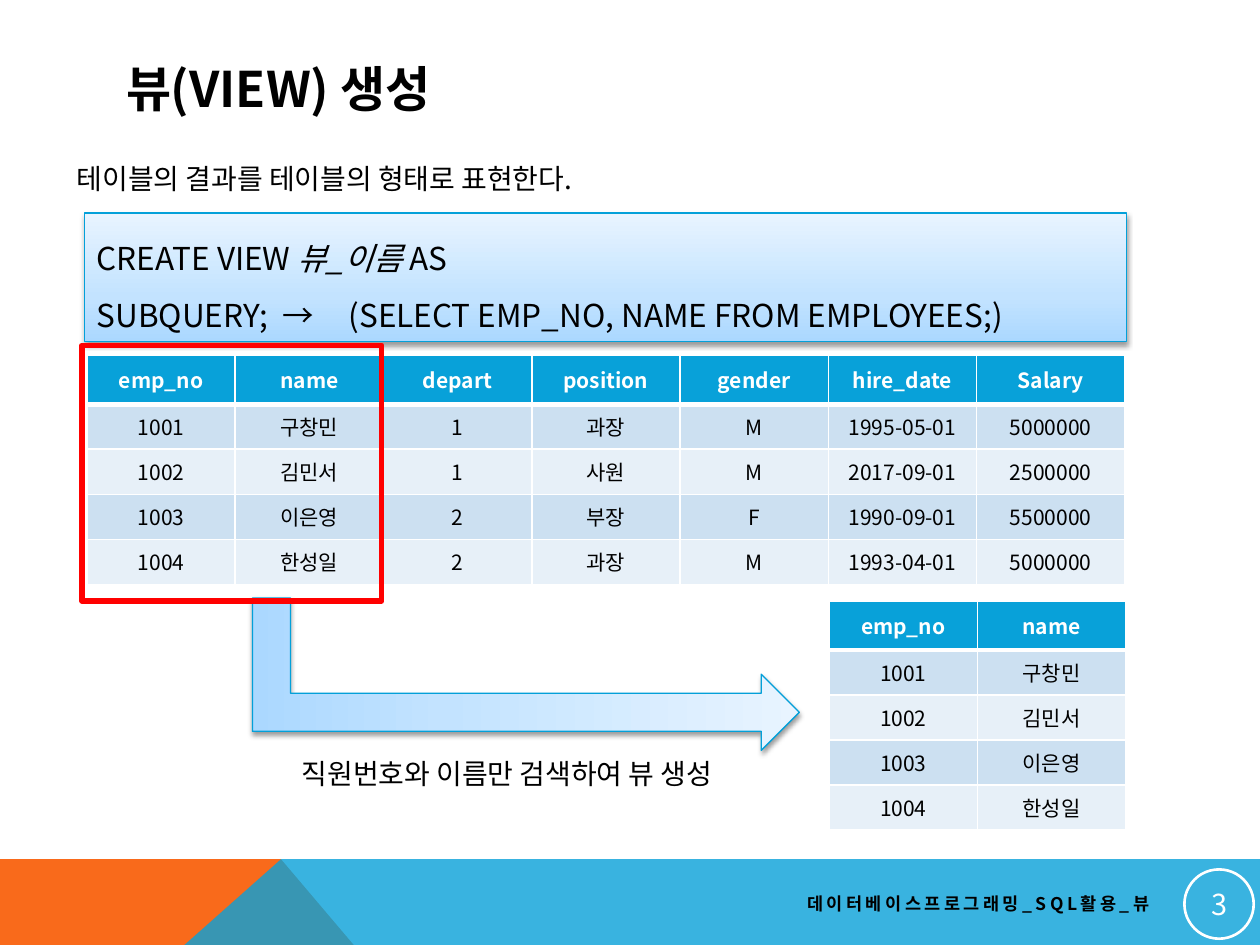
from lxml import etree
from pptx import Presentation
from pptx.dml.color import RGBColor
from pptx.enum.shapes import MSO_SHAPE
from pptx.enum.text import MSO_ANCHOR, MSO_AUTO_SIZE, PP_ALIGN
from pptx.oxml import parse_xml
from pptx.oxml.ns import nsdecls, qn
from pptx.util import Pt

FONT = "Noto Sans CJK KR"
BLACK = RGBColor(0x00, 0x00, 0x00)
WHITE = RGBColor(0xFF, 0xFF, 0xFF)
RED = RGBColor(0xFF, 0x00, 0x00)
ORANGE = RGBColor(0xF9, 0x6A, 0x1B)
BLUE = RGBColor(0x08, 0xA1, 0xD9)
EDGE = RGBColor(0x03, 0xA0, 0xD9)
BAND_DARK = RGBColor(0xCC, 0xE0, 0xF1)
BAND_LIGHT = RGBColor(0xE7, 0xF0, 0xF8)
GRADIENT = [
    (0, RGBColor(0xAB, 0xD8, 0xFF)),
    (35, RGBColor(0xC3, 0xE3, 0xFF)),
    (100, RGBColor(0xE8, 0xF4, 0xFF)),
]
LEFT, CENTER, RIGHT = PP_ALIGN.LEFT, PP_ALIGN.CENTER, PP_ALIGN.RIGHT
TOP, MIDDLE = MSO_ANCHOR.TOP, MSO_ANCHOR.MIDDLE
NO_AUTOFIT = MSO_AUTO_SIZE.NONE
RECT, OVAL, BENT_ARROW = MSO_SHAPE.RECTANGLE, MSO_SHAPE.OVAL, MSO_SHAPE.BENT_UP_ARROW

COL_W, HEAD_H, ROW_H = 84.75, 28, 25.75
EMPLOYEES = [
    ["emp_no", "name", "depart", "position", "gender", "hire_date", "Salary"],
    ["1001", "구창민", "1", "과장", "M", "1995-05-01", "5000000"],
    ["1002", "김민서", "1", "사원", "M", "2017-09-01", "2500000"],
    ["1003", "이은영", "2", "부장", "F", "1990-09-01", "5500000"],
    ["1004", "한성일", "2", "과장", "M", "1993-04-01", "5000000"],
]


def points(values):
    return [Pt(v) for v in values]


def format_run(r, size, color=BLACK, bold=False, italic=False):
    r.font.name = FONT
    r.font.size = Pt(size)
    r.font.color.rgb = color
    r.font.bold = bold
    r.font.italic = italic
    ea = etree.SubElement(r.font._element, qn("a:ea"))
    ea.set("typeface", FONT)


def write(sp, text, size, align=LEFT, anchor=MIDDLE, color=BLACK, bold=False):
    tf = sp.text_frame
    tf.text = text
    tf.word_wrap = True
    tf.auto_size = NO_AUTOFIT
    tf.vertical_anchor = anchor
    p = tf.paragraphs[0]
    p.alignment = align
    format_run(p.runs[0], size, color, bold)
    return p


def add_text(slide, box, text, size, align, bold=False):
    sp = slide.shapes.add_textbox(*points(box))
    return write(sp, text, size, align, bold=bold)


def fill_placeholder(sp, box, text, size, anchor, bold=False):
    sp.left, sp.top, sp.width, sp.height = points(box)
    return write(sp, text, size, anchor=anchor, bold=bold)


def add_outline(slide, kind, box, color, width):
    sp = slide.shapes.add_shape(kind, *points(box))
    sp.shadow.inherit = False
    sp.fill.background()
    sp.line.color.rgb = color
    sp.line.width = Pt(width)
    return sp


def add_gradient_shape(slide, kind, box):
    sp = add_outline(slide, kind, box, EDGE, 0.75)
    spPr = sp._element.spPr
    stops = "".join(
        f'<a:gs pos="{pos * 1000}"><a:srgbClr val="{color}"/></a:gs>'
        for pos, color in GRADIENT)
    spPr.replace(spPr.find(qn("a:noFill")), parse_xml(
        f'<a:gradFill {nsdecls("a")} rotWithShape="1"><a:gsLst>{stops}</a:gsLst>'
        '<a:lin ang="16200000" scaled="0"/></a:gradFill>'))
    spPr.find(qn("a:effectLst")).append(parse_xml(
        f'<a:outerShdw {nsdecls("a")} blurRad="{Pt(3.1)}" dist="{Pt(1.6)}" '
        'dir="5400000" rotWithShape="0"><a:srgbClr val="000000">'
        '<a:alpha val="38000"/></a:srgbClr></a:outerShdw>'))
    return sp


def add_band(slide, corners, color, alpha=100):
    start, *rest = [points(c) for c in corners]
    builder = slide.shapes.build_freeform(*start)
    builder.add_line_segments(rest, close=True)
    sp = builder.convert_to_shape()
    sp.shadow.inherit = False
    sp.fill.solid()
    sp.fill.fore_color.rgb = color
    sp.line.fill.background()
    if alpha < 100:
        clr = sp._element.spPr.find(qn("a:solidFill"))[0]
        etree.SubElement(clr, qn("a:alpha")).set("val", str(alpha * 1000))


def set_borders(cell, widths):
    tcPr = cell._tc.get_or_add_tcPr()
    for side, width in widths.items():
        tcPr.append(parse_xml(
            f'<a:ln{side} {nsdecls("a")} w="{Pt(width)}"><a:solidFill>'
            f'<a:srgbClr val="{WHITE}"/></a:solidFill></a:ln{side}>'))


def add_grid(slide, left, top, rows):
    n_cols = len(rows[0])
    height = HEAD_H + ROW_H * (len(rows) - 1)
    box = points((left, top, COL_W * n_cols, height))
    table = slide.shapes.add_table(len(rows), n_cols, *box).table
    for col in table.columns:
        col.width = Pt(COL_W)
    for i, values in enumerate(rows):
        head = i == 0
        table.rows[i].height = Pt(HEAD_H if head else ROW_H)
        fill = BLUE if head else BAND_DARK if i % 2 else BAND_LIGHT
        for j, value in enumerate(values):
            cell = table.cell(i, j)
            set_borders(cell, {"L": 1, "R": 1, "T": 3 if i == 1 else 1,
                               "B": 3 if head else 1})
            cell.fill.solid()
            cell.fill.fore_color.rgb = fill
            cell.vertical_anchor = MIDDLE
            p = cell.text_frame.paragraphs[0]
            p.text = value
            p.alignment = CENTER
            format_run(p.runs[0], 12, WHITE if head else BLACK, head)


def add_statement(slide):
    sp = add_gradient_shape(slide, RECT, (48.2, 121.7, 595.4, 73.4))
    tf = sp.text_frame
    tf.word_wrap = True
    tf.vertical_anchor = MIDDLE
    lines = [
        [("CREATE VIEW ", False), ("뷰_이름 ", True), ("AS", False)],
        [("SUBQUERY;  →\t(SELECT EMP_NO, NAME FROM EMPLOYEES;)", False)],
    ]
    for i, line in enumerate(lines):
        p = tf.paragraphs[0] if i == 0 else tf.add_paragraph()
        p.alignment = LEFT
        p.line_spacing = 1.5
        for text, italic in line:
            r = p.add_run()
            r.text = text
            format_run(r, 18, italic=italic)


def add_footer(slide):
    p = add_text(slide, (257.8, 505.4, 406.1, 21.6),
                 "데이터베이스프로그래밍_SQL활용_뷰", 10, RIGHT, bold=True)
    p.runs[0].font._element.set("spc", "200")
    sp = add_outline(slide, OVAL, (676.8, 496.8, 39.6, 39.6), WHITE, 1.5)
    write(sp, "3", 16.5, CENTER, color=WHITE)
    tf = sp.text_frame
    tf.margin_left = tf.margin_right = tf.margin_top = tf.margin_bottom = Pt(0.72)


def main():
    prs = Presentation()
    prs.slide_width, prs.slide_height = Pt(720), Pt(540)
    slide = prs.slides.add_slide(prs.slide_layouts[1])

    # Bottom bands
    top, bottom, peak = 491, 633.6, 160.6
    add_band(slide, [(0, bottom), (0, top), (peak, top), (281.5, bottom)], ORANGE)
    add_band(slide, [(0, bottom), (peak, top), (720, top), (720, bottom)], BLUE, 80)

    # Title and lead sentence
    title, body = slide.placeholders
    fill_placeholder(title, (64.8, 28.8, 591.8, 43.2), "뷰(VIEW) 생성", 28, MIDDLE, True)
    p = fill_placeholder(body, (36.7, 88.6, 591.8, 36),
                         "테이블의 결과를 테이블의 형태로 표현한다.", 16, TOP)
    p.space_before = Pt(8)
    pPr = p._p.get_or_add_pPr()
    pPr.set("marL", "0")
    pPr.set("indent", "0")
    etree.SubElement(pPr, qn("a:buNone"))

    # Statement and source table
    add_statement(slide)
    add_grid(slide, 49.7, 203, EMPLOYEES)

    # Arrow from the selected columns to the view
    arrow = add_gradient_shape(slide, BENT_ARROW, (257, 229, 87.1, 312.5))
    arrow.rotation = 270
    xfrm = arrow._element.spPr.find(qn("a:xfrm"))
    xfrm.set("flipH", "1")
    xfrm.set("flipV", "1")
    add_text(slide, (145.4, 423.4, 288.7, 37.4),
             "직원번호와 이름만 검색하여 뷰 생성", 16, CENTER)
    add_outline(slide, RECT, (46.8, 197.3, 171.4, 146.2), RED, 3)

    # Footer and resulting view
    add_footer(slide)
    add_grid(slide, 473.8, 343.4, [row[:2] for row in EMPLOYEES])
    prs.save("out.pptx")


main()
